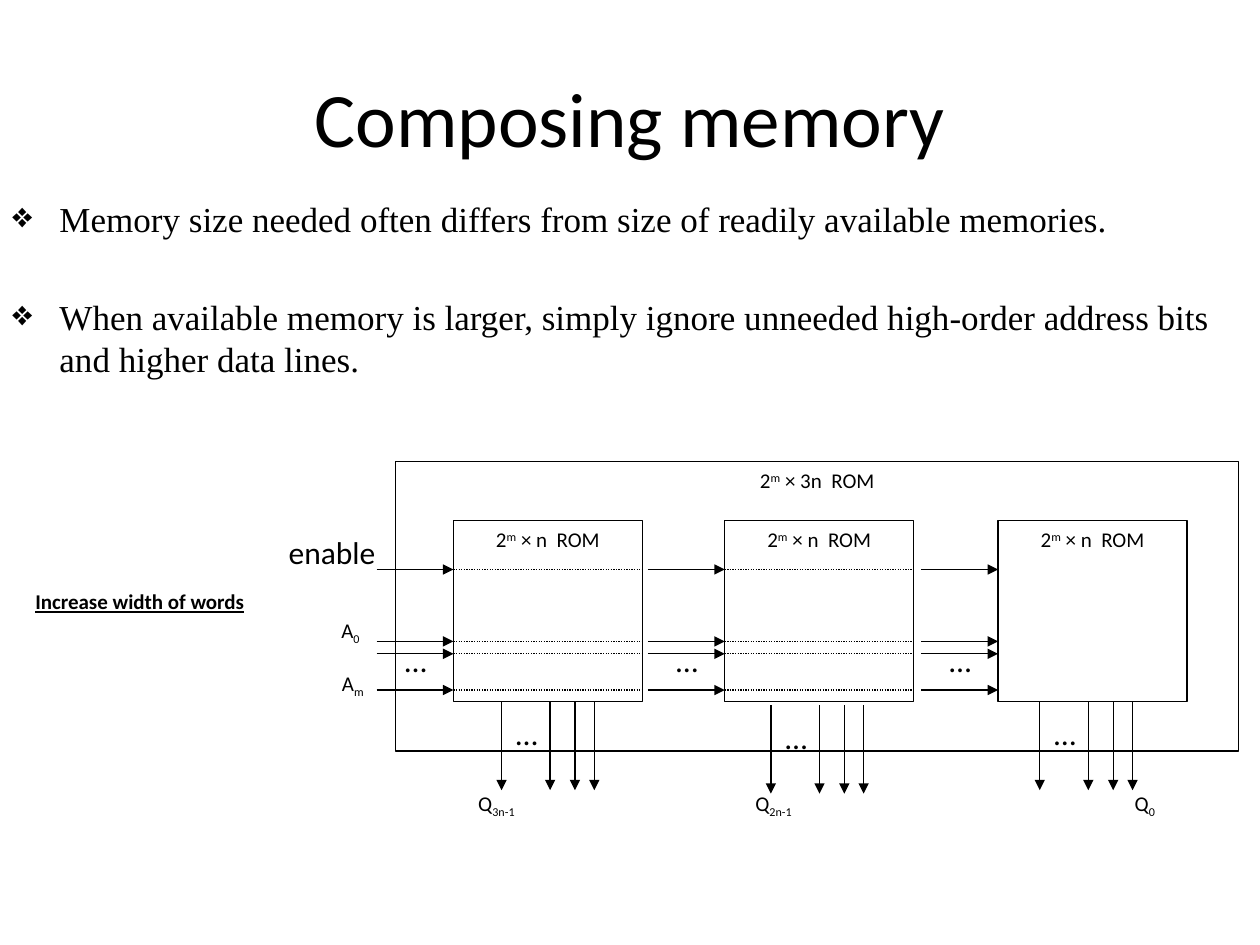
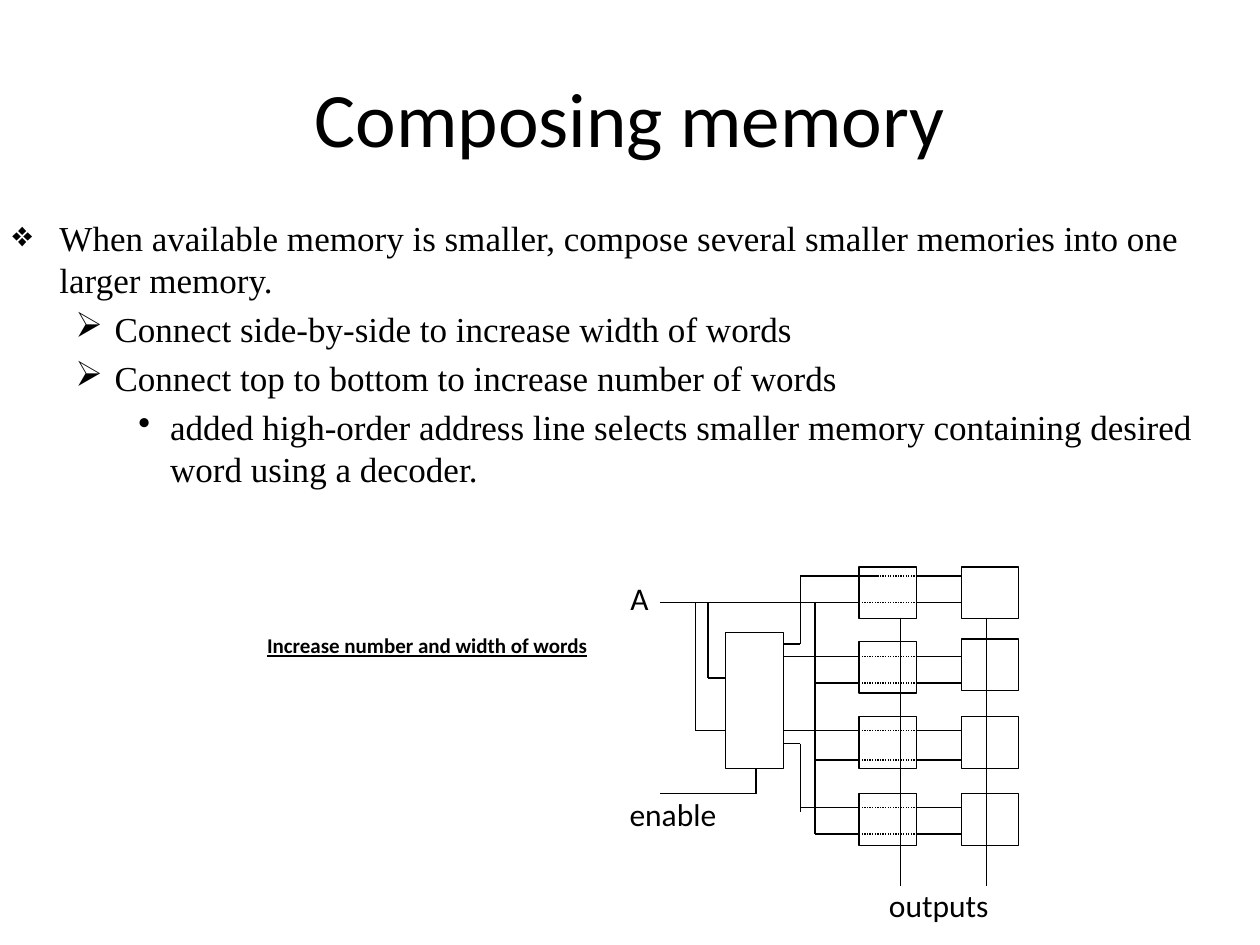
"""Build two slides on composing larger memories from smaller ones."""
import itertools

import pptx
import pptx.util
import pptx.dml.color
import pptx.enum.dml
import pptx.enum.shapes
import pptx.enum.text
import pptx.oxml.ns
from lxml import etree

Cm = pptx.util.Cm
Pt = pptx.util.Pt
ALIGN = pptx.enum.text.PP_ALIGN
ANCHOR = pptx.enum.text.MSO_ANCHOR

COLORS = {"ink": "000000", "paper": "FFFFFF"}
SANS, SERIF = "Calibri", "Times New Roman"
TITLE = "Composing memory"
TITLE_BOX = (1.27, 0.76, 22.86, 3.18)
INSET = (0.25, 0.13)
LEVELS = [("❖", 0.95, 0.95), ("➢", 2.06, 0.79), ("•", 3.18, 0.64)]
SUPER, SUB = 30000, -25000

WIDTH_BOX = (0, 3.86, 25.4, 4.83)
WIDTH_POINTS = [
    (0, 0, "Memory size needed often differs from size of readily available memories."),
    (0, 32, "When available memory is larger, simply ignore unneeded high-order address bits and higher data lines."),
]
WIDTH_CAPTION = ("Increase width of words", (0, 11.73, 5.64, 2.26))
FRAME = (7.98, 9.3, 16.99, 5.84)
FRAME_NAME = [("2", 0), ("m", SUPER), (" × 3n  ROM", 0)]
ROM_NAME = [("2", 0), ("m", SUPER), (" × n  ROM", 0)]
ROM_XS = [9.14, 14.61, 20.12]
ROM_Y, ROM_W, ROM_H = 10.49, 3.81, 3.66
INPUT_YS = [11.48, 12.93, 13.18, 13.91]
INPUT_LEN = 1.55
OUTPUTS = [(10.11, 14.15), (15.54, 14.22), (20.96, 14.15)]
OUTPUT_STEPS = [0, 0.98, 1.48, 1.87]
OUTPUT_LEN = 1.78
DOTS_SIZE = (1.02, 0.74)
ROM_LABELS = [
    ([("enable", 0)], 18, (5.77, 10.74, 1.85, 0.74)),
    ([("A", 0), ("0", SUB)], 12, (6.53, 12.45, 1.07, 0.74)),
    ([("A", 0), ("m", SUB)], 12, (6.58, 13.51, 1.07, 0.74)),
    ([("Q", 0), ("3n-1", SUB)], 12, (9.3, 15.93, 1.42, 0.74)),
    ([("Q", 0), ("2n-1", SUB)], 12, (14.86, 15.93, 1.47, 0.74)),
    ([("Q", 0), ("0", SUB)], 12, (22.38, 15.93, 1.4, 0.97)),
]

NUMBER_BOX = (0, 4.24, 25.4, 6.35)
NUMBER_POINTS = [
    (0, 0, "When available memory is smaller, compose several smaller memories into one larger memory."),
    (1, 4, "Connect side-by-side to increase width of words"),
    (1, 4, "Connect top to bottom to increase number of words"),
    (2, 4, "added high-order address line selects smaller memory containing desired word using a decoder."),
]
NUMBER_CAPTION = ("Increase number and width of words", (4.55, 12.62, 8.13, 3.63))
DECODER = (14.63, 12.75, 1.17, 2.74)
CELL_XS = [17.32, 19.38]
CELL_W, CELL_H = 1.16, 1.04
CELL_ROWS = [
    {"tops": (11.43, 11.43), "select": 11.61, "start": 16.13, "address": 12.14},
    {"tops": (12.93, 12.88), "select": 13.23, "start": 15.8, "address": 13.77},
    {"tops": (14.45, 14.45), "select": 14.73, "start": 15.8, "address": 15.32},
    {"tops": (16, 16), "select": 16.28, "start": 16.13, "address": 16.81},
]
WIRES = [
    [(13.31, 12.14), (16.43, 12.14), (16.43, 16.81)],
    [(14.27, 12.14), (14.27, 13.67), (14.63, 13.67)],
    [(14.02, 12.14), (14.02, 14.73), (14.63, 14.73)],
    [(16.13, 11.61), (16.13, 12.98), (15.8, 12.98)],
    [(15.8, 14.99), (16.13, 14.99), (16.13, 16.36)],
    [(15.24, 15.49), (15.24, 16), (13.31, 16)],
    [(17.32, 11.61), (17.68, 11.61)],
    [(18.16, 12.45), (18.16, 17.86)],
    [(19.89, 12.45), (19.89, 17.86)],
]
CELL_LABELS = [
    ([("A", 0)], 18, (12.32, 11.68, 1.14, 0.79)),
    ([("enable", 0)], 18, (12.32, 16.03, 2.49, 0.79)),
    ([("outputs", 0)], 18, (17.68, 17.86, 2.49, 0.79)),
]


def color(name):
    return pptx.dml.color.RGBColor.from_string(COLORS[name])


def style_run(r, size, font=SANS):
    r.font.size = Pt(size)
    r.font.name = font
    r.font.color.rgb = color("ink")


def prepare(tf, inset, anchor=ANCHOR.TOP):
    tf.word_wrap = True
    tf.vertical_anchor = anchor
    tf.margin_left = tf.margin_right = Cm(inset[0])
    tf.margin_top = tf.margin_bottom = Cm(inset[1])


def write(sp, parts, size, inset=(0, 0), anchor=ANCHOR.TOP):
    prepare(sp.text_frame, inset, anchor)
    p = sp.text_frame.paragraphs[0]
    p.alignment = ALIGN.CENTER
    for text, baseline in parts:
        r = p.add_run()
        r.text = text
        style_run(r, size)
        if baseline:
            r.font._element.set("baseline", str(baseline))
    return p


def add_text(s, parts, size, box, **options):
    return write(s.shapes.add_textbox(*map(Cm, box)), parts, size, **options)


def add_caption(s, text, box):
    p = add_text(s, [(text, 0)], 12, box, inset=INSET)
    p.runs[0].font.bold = p.runs[0].font.underline = True


def add_points(s, points, box):
    tf = s.shapes.add_textbox(*map(Cm, box)).text_frame
    prepare(tf, INSET)
    for i, (level, gap, text) in enumerate(points):
        p = tf.add_paragraph() if i else tf.paragraphs[0]
        p.text = text
        p.level = level
        p.space_before = Pt(gap)
        style_run(p.runs[0], 20, SERIF)
        mark, left, hang = LEVELS[level]
        pPr = p._p.get_or_add_pPr()
        pPr.set("marL", str(Cm(left)))
        pPr.set("indent", str(-Cm(hang)))
        etree.SubElement(pPr, pptx.oxml.ns.qn("a:buChar")).set("char", mark)


def add_box(s, box, filled=True):
    sp = s.shapes.add_shape(pptx.enum.shapes.MSO_SHAPE.RECTANGLE, *map(Cm, box))
    sp.shadow.inherit = False
    if filled:
        sp.fill.solid()
        sp.fill.fore_color.rgb = color("paper")
    else:
        sp.fill.background()
    sp.line.color.rgb = color("ink")
    sp.line.width = Pt(0.75)
    return sp


def add_line(s, start, end, arrow=False, dotted=False):
    sp = s.shapes.add_connector(pptx.enum.shapes.MSO_CONNECTOR.STRAIGHT, *map(Cm, start + end))
    sp.line.color.rgb = color("ink")
    sp.line.width = Pt(0.75)
    if dotted:
        sp.line.dash_style = pptx.enum.dml.MSO_LINE.ROUND_DOT
    if arrow:
        ln = sp.line._get_or_add_ln()
        etree.SubElement(ln, pptx.oxml.ns.qn("a:tailEnd")).set("type", "triangle")
    etree.SubElement(sp._element.spPr, pptx.oxml.ns.qn("a:effectLst"))


def add_slide(prs, points, box, caption, labels):
    s = prs.slides.add_slide(prs.slide_layouts[6])
    add_text(s, [(TITLE, 0)], 44, TITLE_BOX, inset=INSET, anchor=ANCHOR.MIDDLE)
    add_points(s, points, box)
    add_caption(s, *caption)
    for label in labels:
        add_text(s, *label)
    return s


def draw_wide_rom(s):
    write(add_box(s, FRAME, filled=False), FRAME_NAME, 12, INSET)
    for x in ROM_XS:
        write(add_box(s, (x, ROM_Y, ROM_W, ROM_H)), ROM_NAME, 12, (0, INSET[1]))
        add_text(s, [("…", 0)], 18, (x - 1.27, 12.93, *DOTS_SIZE))
        for y in INPUT_YS:
            add_line(s, (x - INPUT_LEN, y), (x, y), arrow=True)
            if x != ROM_XS[-1]:
                add_line(s, (x, y), (x + ROM_W, y), dotted=True)
    for x, y in OUTPUTS:
        add_text(s, [("…", 0)], 18, (x, y + 0.25, *DOTS_SIZE))
        for step in OUTPUT_STEPS:
            add_line(s, (x + step, y), (x + step, y + OUTPUT_LEN), arrow=True)


def draw_memory_grid(s):
    add_box(s, DECODER)
    left, right = CELL_XS
    for row in CELL_ROWS:
        for x, y in zip(CELL_XS, row["tops"]):
            add_box(s, (x, y, CELL_W, CELL_H))
        for start, y in ((row["start"], row["select"]), (16.43, row["address"])):
            add_line(s, (start, y), (left, y))
            add_line(s, (left, y), (left + CELL_W, y), dotted=True)
            add_line(s, (left + CELL_W, y), (right, y))
    for wire in WIRES:
        for start, end in itertools.pairwise(wire):
            add_line(s, start, end)


def main():
    prs = pptx.Presentation()
    prs.slide_width, prs.slide_height = Cm(25.4), Cm(19.05)
    draw_wide_rom(add_slide(prs, WIDTH_POINTS, WIDTH_BOX, WIDTH_CAPTION, ROM_LABELS))
    draw_memory_grid(add_slide(prs, NUMBER_POINTS, NUMBER_BOX, NUMBER_CAPTION, CELL_LABELS))
    prs.save("out.pptx")


if __name__ == "__main__":
    main()
